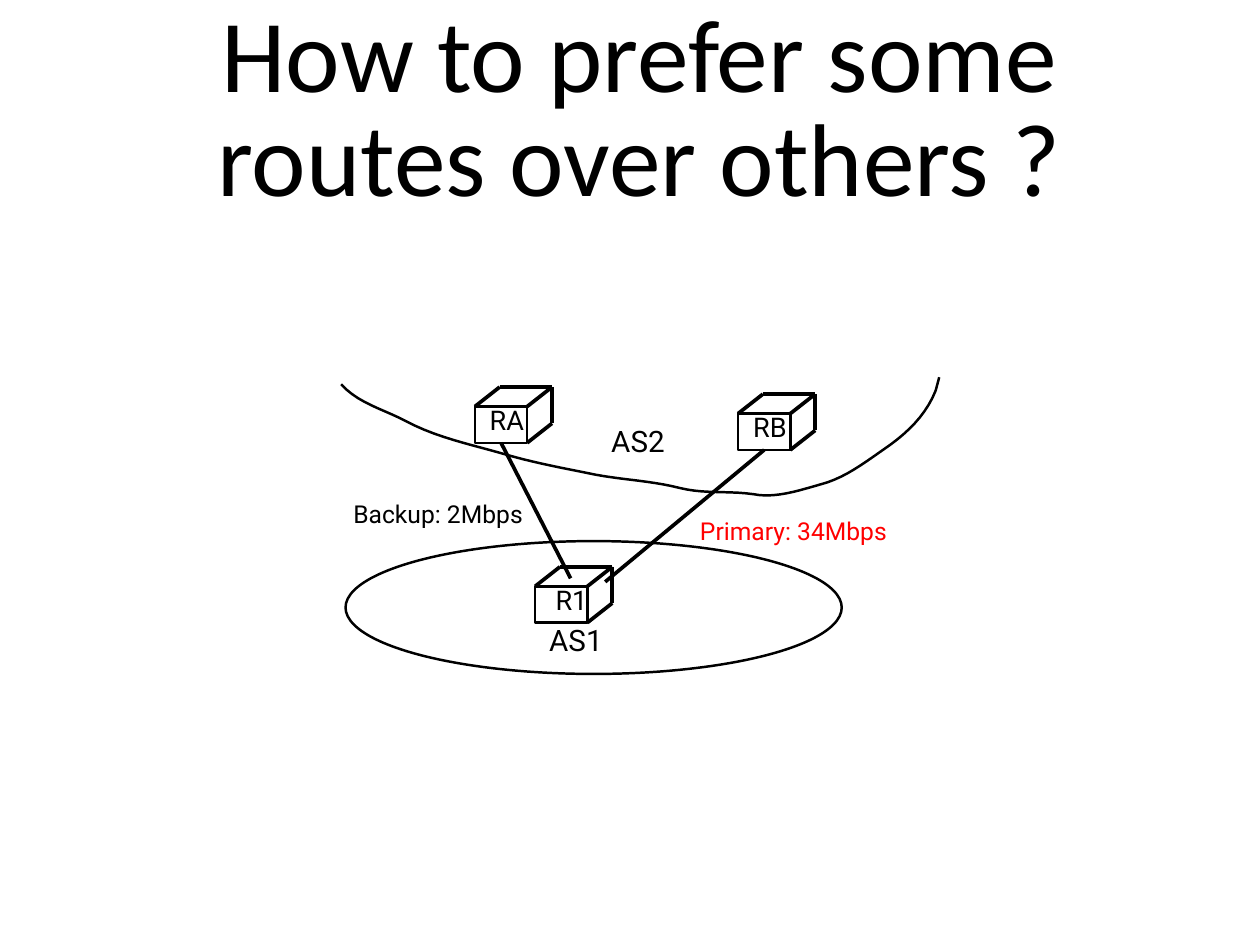
from lxml import etree
from pptx import Presentation
from pptx.dml.color import RGBColor
from pptx.enum.shapes import MSO_CONNECTOR, MSO_SHAPE
from pptx.enum.text import MSO_ANCHOR, MSO_AUTO_SIZE, PP_ALIGN
from pptx.oxml.ns import qn
from pptx.util import Pt

PX = 9144  # 100 px to the inch
BLACK = RGBColor(0x00, 0x00, 0x00)
RED = RGBColor(0xFF, 0x00, 0x00)
STRAIGHT = MSO_CONNECTOR.STRAIGHT
RECTANGLE, OVAL = MSO_SHAPE.RECTANGLE, MSO_SHAPE.OVAL
CENTER, MIDDLE = PP_ALIGN.CENTER, MSO_ANCHOR.MIDDLE
FIT_SHAPE, NO_FIT = MSO_AUTO_SIZE.SHAPE_TO_FIT_TEXT, MSO_AUTO_SIZE.NONE
BOTTOM = 2

FRONT_W, FRONT_H = 59, 41
DEPTH_X, DEPTH_Y = 28, 22
CURVE_STEPS = 10

# Cubic segments of the AS2 border: two controls and an end, from the box corner
BORDER_START = (0, 8)
BORDER_SEGMENTS = [
    ((19, 29), (47, 36), (72, 49)),
    ((107, 68), (147, 76), (185, 87)),
    ((219, 97), (253, 103), (287, 110)),
    ((319, 116), (351, 117), (382, 125)),
    ((410, 132), (437, 128), (465, 132)),
    ((490, 137), (516, 128), (541, 121)),
    ((568, 114), (590, 97), (613, 81)),
    ((638, 64), (660, 43), (671, 15)),
]
BORDER_END = (675, 0)


def px(*lengths):
    return [round(length * PX) for length in lengths]


def add_text(shapes, text, box, size, font="Roboto", color=BLACK, wrap=False, inset=0):
    textbox = shapes.add_textbox(*px(*box))
    frame = textbox.text_frame
    frame.margin_left = frame.margin_right = inset * PX
    frame.margin_top = frame.margin_bottom = inset * PX
    frame.word_wrap = wrap
    frame.auto_size = NO_FIT if wrap else FIT_SHAPE
    frame.vertical_anchor = MIDDLE
    paragraph = frame.paragraphs[0]
    paragraph.alignment = CENTER
    paragraph.line_spacing = 0.84
    run = paragraph.add_run()
    run.text = text
    run.font.name, run.font.size = font, Pt(size)
    run.font.color.rgb = color


def outline(shape):
    shape.shadow.inherit = False
    shape.fill.background()
    shape.line.color.rgb = BLACK
    shape.line.width = Pt(2)
    return shape


def add_line(shapes, start, end):
    line = shapes.add_connector(STRAIGHT, *px(*start, *end))
    line.line.color.rgb = BLACK
    line.line.width = Pt(3)
    etree.SubElement(line._element.spPr, qn("a:effectLst"))
    return line


def add_router(slide, name, left, top, label_left=14):
    """Draw a cube whose front face starts at left, top; return that face."""
    cube = slide.shapes.add_group_shape().shapes
    front = outline(cube.add_shape(RECTANGLE, *px(left, top, FRONT_W, FRONT_H)))
    right, bottom = left + FRONT_W, top + FRONT_H
    back_left, back_top = left + DEPTH_X, top - DEPTH_Y
    back_right, back_bottom = right + DEPTH_X, bottom - DEPTH_Y
    for start, end in [
        ((left, top), (back_left, back_top)),
        ((right, top), (back_right, back_top)),
        ((right, bottom), (back_right, back_bottom)),
        ((back_left, back_top), (back_right, back_top)),
        ((back_right, back_top), (back_right, back_bottom)),
    ]:
        add_line(cube, start, end)
    add_text(cube, name, (left + label_left, top, 44, 36), 22)
    return front


def bezier(start, control1, control2, end):
    """Points along one cubic segment, without its start."""
    for step in range(1, CURVE_STEPS + 1):
        t = step / CURVE_STEPS
        weights = ((1 - t) ** 3, 3 * t * (1 - t) ** 2, 3 * t * t * (1 - t), t ** 3)
        corners = (start, control1, control2, end)
        yield tuple(sum(w * c[axis] for w, c in zip(weights, corners)) for axis in (0, 1))


def add_as2_border(slide, left, top):
    points = [BORDER_START]
    for segment in BORDER_SEGMENTS:
        points += list(bezier(points[-1], *segment))
    points.append(BORDER_END)
    start, *rest = [px(left + x, top + y) for x, y in points]
    builder = slide.shapes.build_freeform(*start)
    builder.add_line_segments(rest, close=False)
    outline(builder.convert_to_shape())


def add_title(slide, box):
    add_text(slide.shapes, "How to prefer some routes over others ?", box, 84,
             font="Calibri", wrap=True, inset=6)


def add_network(slide, left, top):
    """Draw both systems, their routers and the two links between them."""
    shapes = slide.shapes
    add_router(slide, "R1", left + 219, top + 236, label_left=19)
    outline(shapes.add_shape(OVAL, *px(left + 5, top + 185, 560, 150)))
    add_as2_border(slide, left, top)
    ra = add_router(slide, "RA", left + 151, top + 33)
    rb = add_router(slide, "RB", left + 448, top + 41)
    for router, x, y in [(ra, 259, 227), (rb, 298, 231)]:
        r1_end = (left + x, top + y)
        add_line(shapes, r1_end, r1_end).end_connect(router, BOTTOM)
    for text, x, y, width, height, size, color in [
        ("Backup: 2Mbps", 13, 140, 193, 33, 20, BLACK),
        ("Primary: 34Mbps", 405, 159, 211, 33, 20, RED),
        ("AS1", 233, 280, 64, 40, 24, BLACK),
        ("AS2", 303, 55, 64, 40, 24, BLACK),
    ]:
        add_text(shapes, text, (left + x, top + y, width, height), size, color=color)


def main():
    deck = Presentation()
    deck.slide_width, deck.slide_height = px(1422, 1067)
    slide = deck.slides.add_slide(deck.slide_layouts[6])
    add_title(slide, (112, 0, 1219, 256))
    add_network(slide, 385, 426)
    deck.save("out.pptx")


if __name__ == "__main__":
    main()
